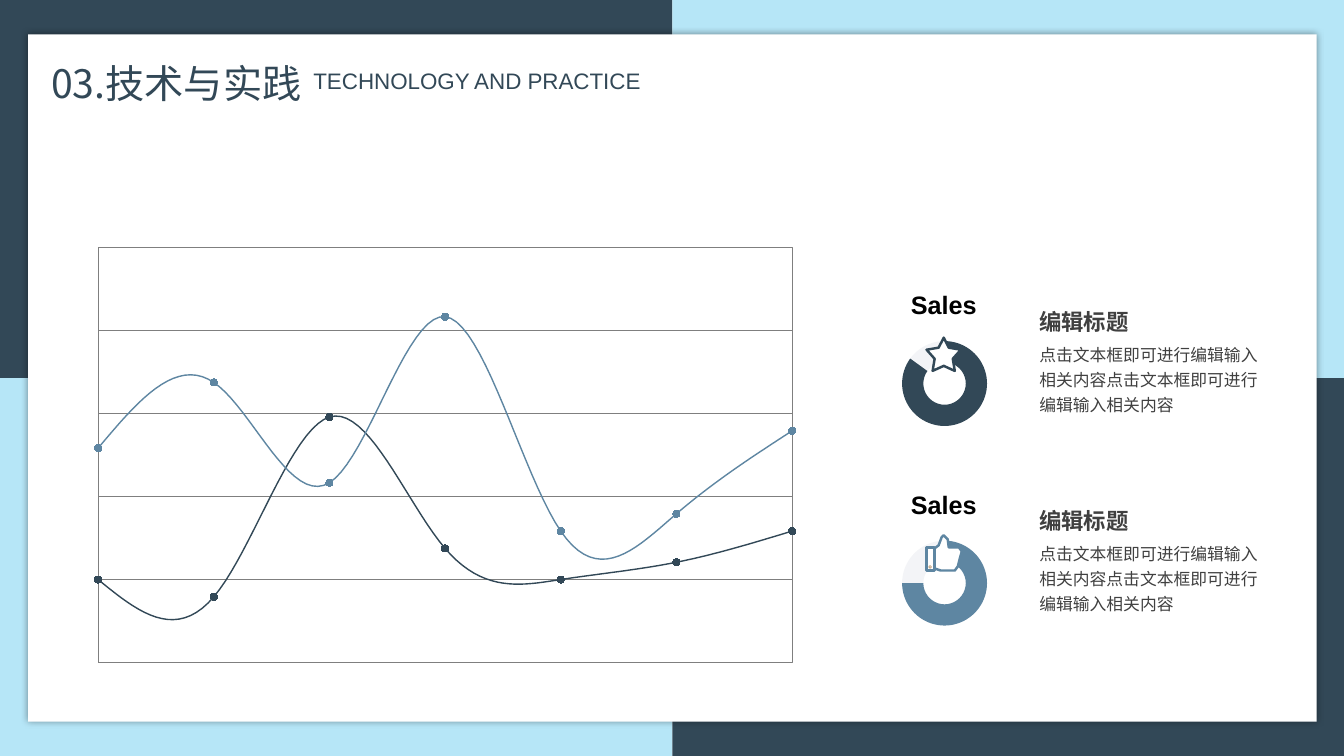
from lxml import etree
from pptx import Presentation
from pptx import util as u
from pptx.chart.data import CategoryChartData
from pptx.dml.color import RGBColor
from pptx.enum import chart as ce, shapes, text
from pptx.oxml import parse_xml
from pptx.oxml.ns import nsdecls, qn

NAVY, SKY, BLUE, WHITE = "324857", "B6E6F7", "5E86A2", "FFFFFF"
GREY, DARK = "7F7F7F", "404040"
LATIN, CJK = "Arial", "Noto Sans CJK SC"
BODY = "点击文本框即可进行编辑输入相关内容点击文本框即可进行编辑输入相关内容"

STAR = [(9.36, 3.35), (9.41, 3.45), (9.53, 3.47), (9.45, 3.56), (9.47, 3.68),
        (9.36, 3.63), (9.25, 3.68), (9.27, 3.56), (9.19, 3.47), (9.31, 3.45)]
HAND = [(9.27, 5.44), (9.31, 5.41), (9.34, 5.33), (9.36, 5.31), (9.4, 5.35),
        (9.41, 5.43), (9.51, 5.43), (9.54, 5.47), (9.52, 5.54), (9.5, 5.62),
        (9.47, 5.66), (9.33, 5.66), (9.27, 5.64)]
CUFF = [(9.19, 5.43), (9.27, 5.43), (9.27, 5.66), (9.19, 5.66)]


def rgb(code):
    return RGBColor.from_string(code)


def paint(part, code):
    part.fill.solid()
    part.fill.fore_color.rgb = rgb(code)


def box(slide, kind, at, fill):
    shape = slide.shapes.add_shape(kind, *map(u.Inches, at))
    shape.shadow.inherit = False
    paint(shape, fill)
    shape.line.fill.background()
    return shape


def glow(shape):
    effects = shape._element.spPr.find(qn("a:effectLst"))
    effects.append(parse_xml(
        f'<a:outerShdw {nsdecls("a")} blurRad="63500" algn="ctr" rotWithShape="0">'
        '<a:srgbClr val="000000"><a:alpha val="40000"/></a:srgbClr></a:outerShdw>'))


def write(slide, at, words, size=12, font=CJK, color=DARK, bold=False,
          space=None, anchor=text.MSO_ANCHOR.TOP):
    frame = slide.shapes.add_textbox(*map(u.Inches, at)).text_frame
    frame.word_wrap = True
    frame.vertical_anchor = anchor
    para = frame.paragraphs[0]
    if space:
        para.line_spacing = space
    run = para.add_run()
    run.text = words
    run.font.size = u.Pt(size)
    run.font.name = font
    run.font.bold = bold
    run.font.color.rgb = rgb(color)
    east = etree.SubElement(run.font._element, qn("a:ea"))
    east.set("typeface", font)


def outline(slide, points, color):
    pen = slide.shapes.build_freeform(*map(u.Inches, points[0]))
    pen.add_line_segments([tuple(map(u.Inches, p)) for p in points[1:]], close=True)
    shape = pen.convert_to_shape()
    shape.shadow.inherit = False
    paint(shape, WHITE)
    shape.line.color.rgb = rgb(color)
    shape.line.width = u.Pt(1.75)


def add_plot(slide, kind, at, cats, series, frame):
    """Add a chart whose inner plot area takes the given share of its frame."""
    data = CategoryChartData()
    data.categories = cats
    for name, vals in series:
        data.add_series(name, vals)
    plot = slide.shapes.add_chart(kind, *map(u.Inches, at), data).chart
    plot.has_legend = False
    plot.font.size = u.Pt(10)
    plot.font.name = LATIN
    plot.font.color.rgb = rgb("000000")
    area = plot._chartSpace.chart.plotArea
    old = area.find(qn("c:layout"))
    if old is not None:
        area.remove(old)
    sizes = "".join(f'<c:{key} val="{val}"/>' for key, val in zip("xywh", frame))
    area.insert(0, parse_xml(
        f'<c:layout {nsdecls("c")}><c:manualLayout><c:layoutTarget val="inner"/>'
        f'<c:xMode val="edge"/><c:yMode val="edge"/>{sizes}'
        '</c:manualLayout></c:layout>'))
    return plot


def add_lines(slide):
    series = [("Series 1", (24, 19, 71, 33, 24, 29, 38)),
              ("Series 2", (62, 81, 52, 100, 38, 43, 67))]
    plot = add_plot(slide, ce.XL_CHART_TYPE.LINE_MARKERS, (0.83, 2.37, 7.17, 4.29),
                    [str(n) for n in range(1, 8)], series, (0.02, 0.02, 0.96, 0.96))
    plot.has_title = False
    for line, color in zip(plot.plots[0].series, (NAVY, BLUE)):
        line.smooth = True
        line.format.line.color.rgb = rgb(color)
        line.format.line.width = u.Pt(1)
        line.marker.style = ce.XL_MARKER_STYLE.CIRCLE
        line.marker.size = 5
        paint(line.marker.format, color)
        line.marker.format.line.color.rgb = rgb(color)
    # Axes: only the grid shows, and lines start on its edge
    axis = plot.value_axis
    axis.minimum_scale, axis.maximum_scale, axis.major_unit = 0, 120, 24
    axis.has_major_gridlines = True
    axis.major_gridlines.format.line.color.rgb = rgb(GREY)
    axis.major_gridlines.format.line.width = u.Pt(0.25)
    axis._element.find(qn("c:majorUnit")).addprevious(parse_xml(
        f'<c:crossBetween {nsdecls("c")} val="midCat"/>'))
    axis.visible = plot.category_axis.visible = False
    plot._chartSpace.chart.plotArea.append(parse_xml(
        f'<c:spPr {nsdecls("c", "a")}><a:solidFill><a:srgbClr val="{WHITE}"/>'
        f'</a:solidFill><a:ln w="3175"><a:solidFill><a:srgbClr val="{GREY}"/>'
        '</a:solidFill></a:ln></c:spPr>'))


def add_ring(slide, top, share, color):
    plot = add_plot(slide, ce.XL_CHART_TYPE.DOUGHNUT, (8.5, top, 1.72, 1.63),
                    ["1", "2"], [("Sales", (share, 100 - share))],
                    (0.26, 0.4, 0.49, 0.52))
    plot.has_title = True
    plot.chart_title.include_in_layout = True
    plot.chart_title.text_frame.text = "Sales"
    font = plot.chart_title.text_frame.paragraphs[0].runs[0].font
    font.size, font.bold, font.name = u.Pt(18), True, LATIN
    font.color.rgb = rgb("000000")
    ring = plot.plots[0]
    ring.vary_by_categories = True
    for spot, code in enumerate((color, "203864")):
        part = ring.series[0].points[spot].format
        paint(part, code)
        part.line.fill.background()
    # The rest of the ring is nearly clear
    tint = part.fill._xPr.find(".//" + qn("a:srgbClr"))
    etree.SubElement(tint, qn("a:alpha")).set("val", "5000")


def add_note(slide, top):
    write(slide, (10.21, top + 0.31, 2.52, 0.85), BODY, space=1.25)
    write(slide, (10.21, top, 1.18, 0.36), "编辑标题", size=16, bold=True)


def main():
    deck = Presentation()
    deck.slide_width, deck.slide_height = u.Inches(13.33), u.Inches(7.5)
    slide = deck.slides.add_slide(deck.slide_layouts[6])

    # Checkered backdrop and white card
    rect = shapes.MSO_SHAPE.RECTANGLE
    for row in range(2):
        for col in range(2):
            box(slide, rect, (col * 6.67, row * 3.75, 6.67 - col * 0.01, 3.75),
                NAVY if row == col else SKY)
    glow(box(slide, rect, (0.28, 0.34, 12.78, 6.82), WHITE))

    # Heading
    write(slide, (0.41, 0.19, 4.15, 0.91), "03.技术与实践", size=28, color=NAVY,
          space=1.75)
    write(slide, (3.01, 0.62, 5.43, 0.36), "TECHNOLOGY AND PRACTICE", size=16,
          font=LATIN, color=NAVY, anchor=text.MSO_ANCHOR.MIDDLE)

    # Charts
    add_lines(slide)
    add_ring(slide, 2.73, 85, NAVY)
    add_ring(slide, 4.71, 75, BLUE)

    # Icons: star, then thumb with its cuff button
    for points, color in ((STAR, NAVY), (CUFF, BLUE), (HAND, BLUE)):
        outline(slide, points, color)
    box(slide, shapes.MSO_SHAPE.DONUT, (9.21, 5.61, 0.03, 0.03), "B18A5F")

    # Notes beside the rings
    for top in (3.01, 4.98):
        add_note(slide, top)

    deck.save("out.pptx")


if __name__ == "__main__":
    main()
